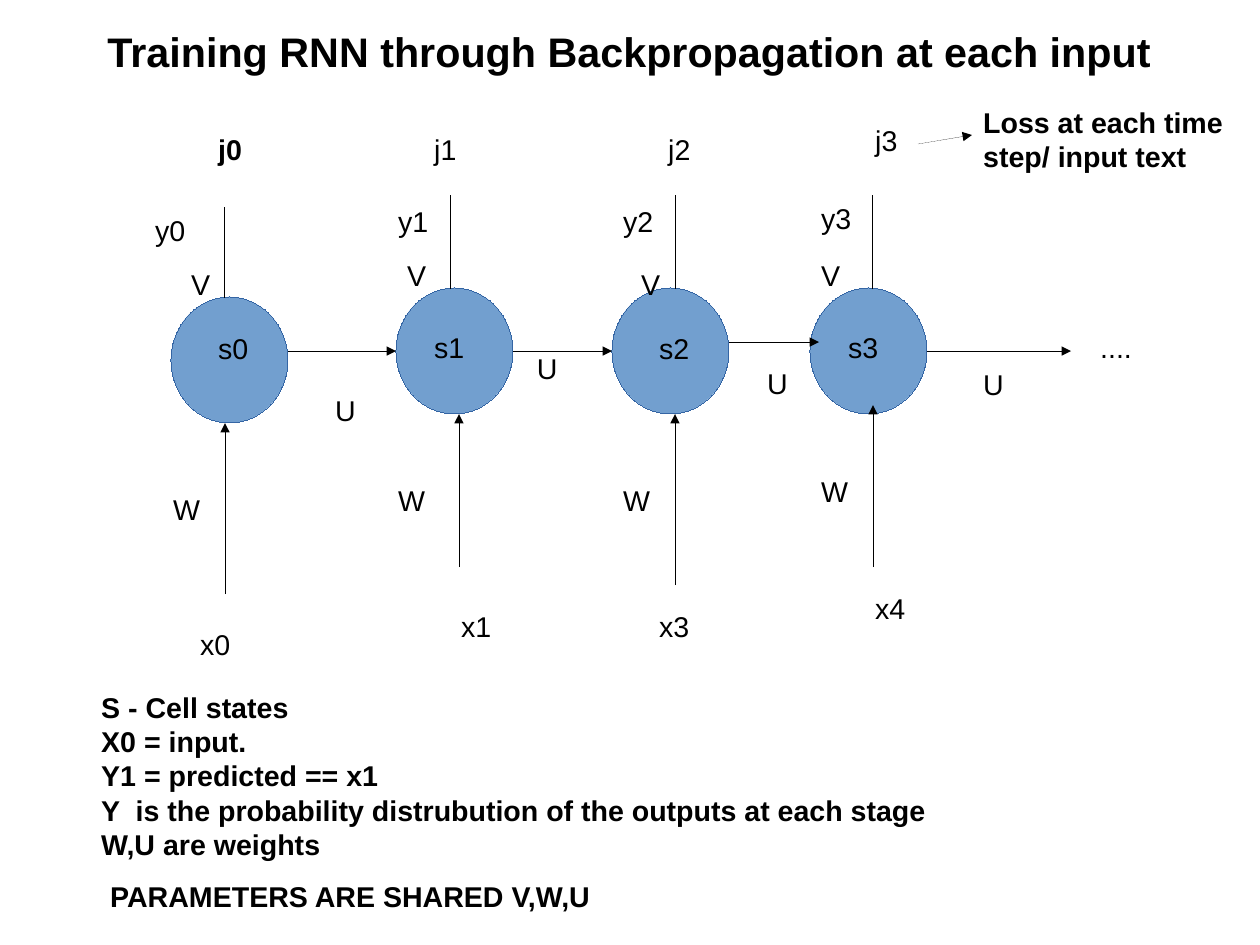
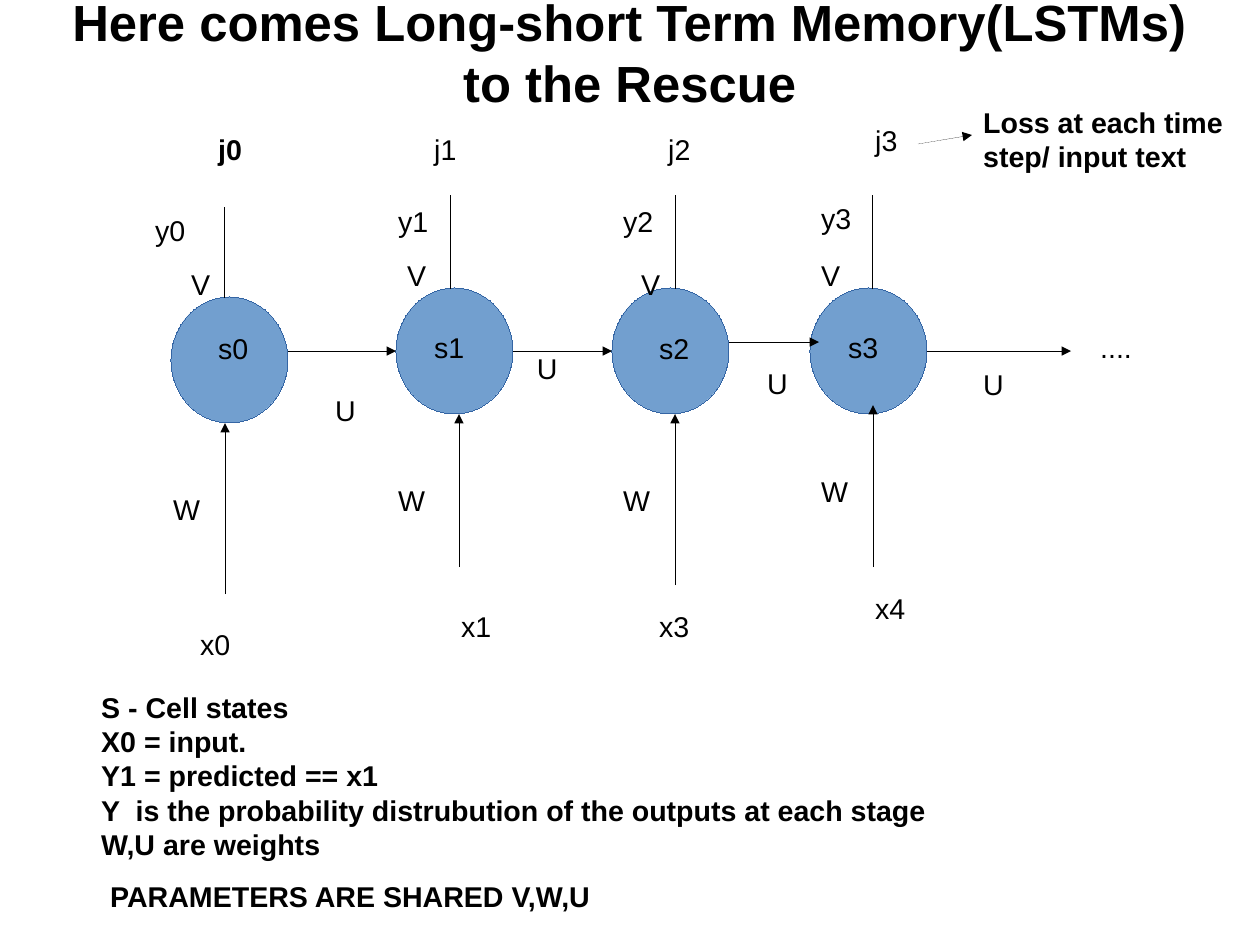
import pptx
import pptx.util
import pptx.dml.color
import pptx.enum.shapes
import pptx.enum.text
import lxml.etree

COLS, ROWS = 28, 21
WIDE, HIGH = pptx.util.Cm(COLS), pptx.util.Cm(ROWS)
INK = {"text": "000000", "cell": "729FCF", "edge": "3465A4"}
FONT = "Arial"
LINE = 0.96

STEPS = [
    {"at": (3.8, 6.6), "stem": (1.2, -2), "feed": (1.2, 6.6, 2.8), "next": (1.2, 5),
     "tags": {"x0": (0.4, 7.2, 2), "W": (-0.2, 4.2, 0.8), "U": (3.4, 2, 1),
              "s0": (0.8, 0.64, 1.4), "y0": (-0.6, -2, 1.2),
              "j0": (0.8, -3.8, 1.4), "V": (0.2, -0.8, 0.8)}},
    {"at": (8.8, 6.4), "stem": (1.2, -2.06), "feed": (1.4, 6.2, 2.8), "next": (1.4, 4.8),
     "tags": {"x1": (1.2, 7, 1.4), "W": (-0.2, 4.2, 1), "U": (2.88, 1.28, 1.2),
              "s1": (0.6, 0.8, 1.2), "y1": (-0.2, -2, 1.4),
              "j1": (0.6, -3.6, 1.2), "V": (0, -0.8, 0.6)}},
    {"at": (13.6, 6.4), "stem": (1.4, -2.06), "feed": (1.4, 6.6, 2.8), "next": (1.2, 4.6),
     "tags": {"x3": (0.8, 7, 1.6), "W": (0, 4.2, 0.8), "U": (3.2, 1.6, 1),
              "s2": (0.8, 0.84, 1.4), "y2": (0, -2, 1.2),
              "j2": (1, -3.6, 1.2), "V": (0.4, -0.6, 1)}},
    {"at": (18, 6.4), "stem": (1.4, -2.06), "feed": (1.4, 6.2, 2.6), "next": (1.4, 5.8),
     "tags": {"x4": (1.2, 6.6, 1.4), "W": (0, 4, 1), "U": (3.6, 1.62, 0.8),
              "s3": (0.6, 0.8, 1.8), "y3": (0, -2.06, 1.2),
              "j3": (1.2, -3.8, 1.2), "V": (0, -0.8, 1)}},
]
CELL = (2.6, 2.8)
KEY = ["S - Cell states", "X0 = input.", "Y1 = predicted == x1",
       "Y  is the probability distrubution of the outputs at each stage",
       "W,U are weights"]
TITLES = [("Training RNN through Backpropagation at each input", 26),
          ("Here comes Long-short Term Memory(LSTMs) to the Rescue", 32)]


def grid(*vals):
    """Turn alternating columns and rows into slide lengths."""
    return [round(v * (HIGH / ROWS if i % 2 else WIDE / COLS)) for i, v in enumerate(vals)]


def tint(name):
    """Return a named colour."""
    return pptx.dml.color.RGBColor.from_string(INK[name])


def plain(shape):
    """Drop the theme style so that lines stay thin and flat."""
    for style in shape._element.xpath("p:style"):
        shape._element.remove(style)


def text(slide, box, lines, size=18, bold=False):
    """Write lines of text in a box and return its frame."""
    frame = slide.shapes.add_textbox(*grid(*box)).text_frame
    frame.word_wrap = True
    for i, line in enumerate(lines):
        para = frame.add_paragraph() if i else frame.paragraphs[0]
        run = para.add_run()
        run.text = line
        run.font.name, run.font.size, run.font.bold = FONT, pptx.util.Pt(size), bold
        run.font.color.rgb = tint("text")
    return frame


def wire(slide, start, end, arrow=True):
    """Join two grid points with a thin line."""
    kind = pptx.enum.shapes.MSO_CONNECTOR.STRAIGHT
    link = slide.shapes.add_connector(kind, *grid(*start, *end))
    plain(link)
    link.line.color.rgb = tint("text")
    space = "{http://schemas.openxmlformats.org/drawingml/2006/main}"
    if arrow:
        lxml.etree.SubElement(link.line._get_or_add_ln(), space + "tailEnd", type="triangle")
    lxml.etree.SubElement(link._element.spPr, space + "effectLst")


def title(slide, box, words, size):
    """Centre a bold title in its box."""
    frame = text(slide, box, [words], size, True)
    frame.margin_left = frame.margin_right = frame.margin_top = frame.margin_bottom = 0
    frame.vertical_anchor = pptx.enum.text.MSO_ANCHOR.MIDDLE
    frame.paragraphs[0].alignment = pptx.enum.text.PP_ALIGN.CENTER


def cell(slide, box):
    """Draw the round state of one step."""
    disc = slide.shapes.add_shape(pptx.enum.shapes.MSO_SHAPE.OVAL, *grid(*box))
    plain(disc)
    disc.shadow.inherit = False
    disc.fill.solid()
    disc.fill.fore_color.rgb = tint("cell")
    disc.line.color.rgb = tint("edge")


def step(slide, box, data):
    """Draw the lines and labels around one state."""
    left, top, wide, high = box
    stem, rise = data["stem"]
    feed, low, tip = data["feed"]
    row, reach = data["next"]
    wire(slide, (left + wide, top + row), (left + reach, top + row))
    wire(slide, (left + feed, top + low), (left + feed, top + tip))
    wire(slide, (left + stem, top), (left + stem, top + rise), False)
    for name, (x, y, span) in data["tags"].items():
        text(slide, (left + x, top + y, span, LINE), [name], bold=name == "j0")


def loss(slide, box):
    """Place the loss remark and the arrow that leads to it."""
    left, top, wide, high = box
    text(slide, box, ["Loss at each time step/ input text"], bold=True)
    wire(slide, (left - 1.2, top + 1), (left, top + 0.8))


def key(slide, box):
    """Place the legend and the closing note below it."""
    left, top, wide, high = box
    text(slide, box, KEY, bold=True)
    text(slide, (left + 0.2, top + high + 0.4, 19.2, LINE),
         ["PARAMETERS ARE SHARED V,W,U"], bold=True)


def page(deck, words, size):
    """Build one slide of the unrolled network."""
    slide = deck.slides.add_slide(deck.slide_layouts[6])
    boxes = [(*data["at"], *CELL) for data in STEPS]
    for box in boxes:
        cell(slide, box)
    for box, data in zip(boxes, STEPS):
        step(slide, box, data)
    text(slide, (24.2, 7.2, 2.8, LINE), ["...."])
    title(slide, (1.4, 0.48, 25.2, 1.32), words, size)
    loss(slide, (21.6, 2.2, 6.2, 1.68))
    key(slide, (2, 15.2, 21.8, 3.8))


def main():
    """Build and save the deck."""
    deck = pptx.Presentation()
    deck.slide_width, deck.slide_height = WIDE, HIGH
    for words, size in TITLES:
        page(deck, words, size)
    deck.save("out.pptx")


if __name__ == "__main__":
    main()
